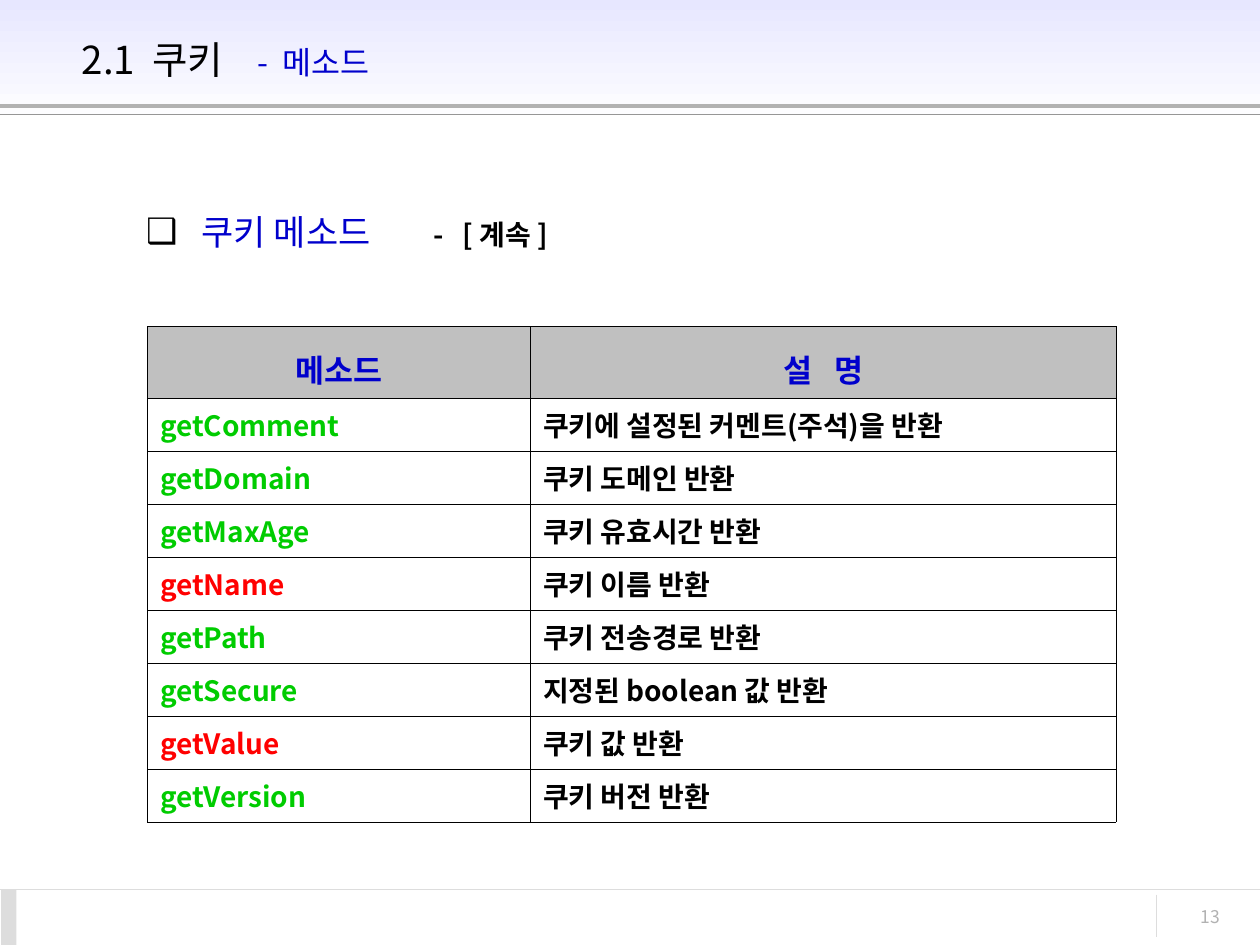
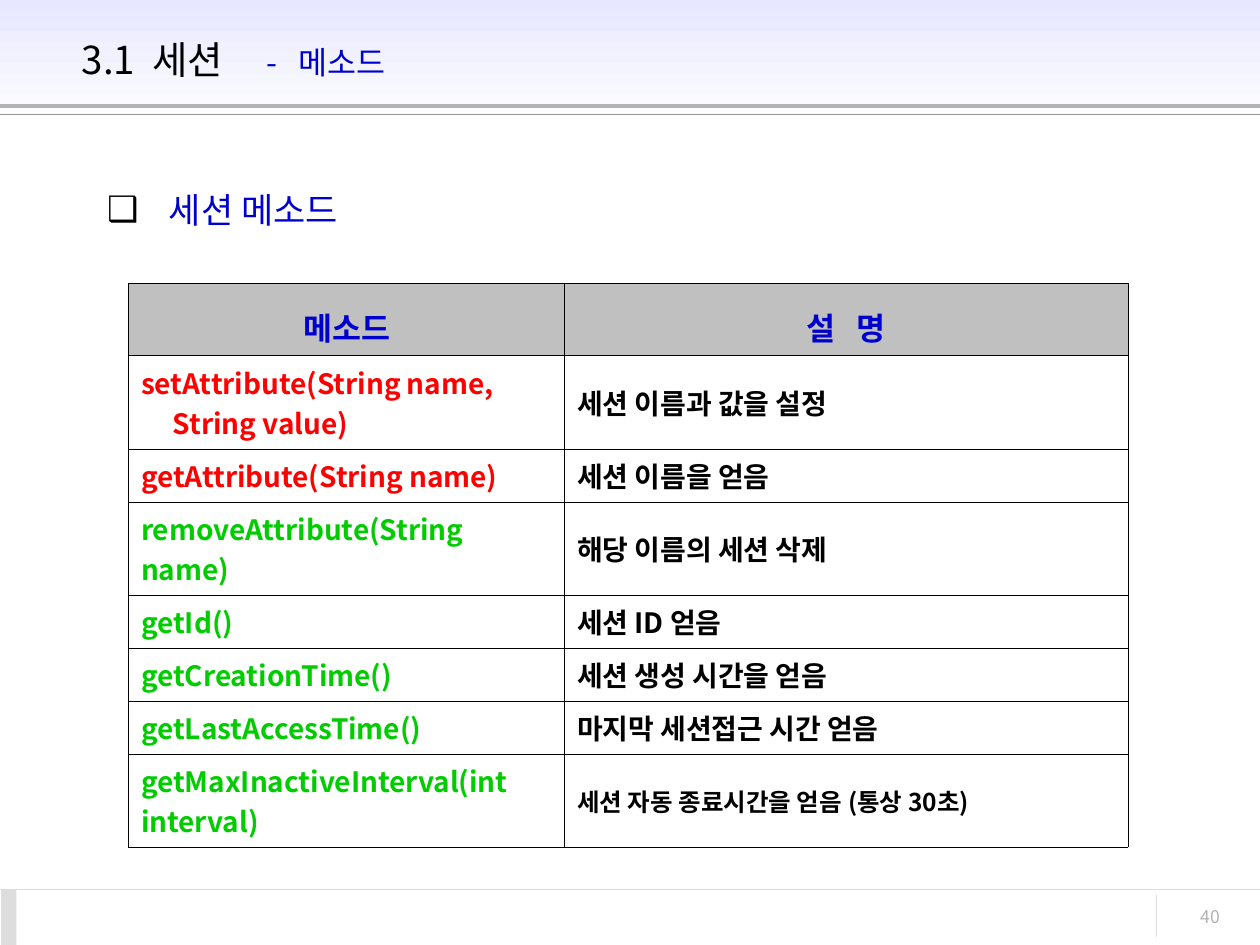
from lxml import etree
from pptx import Presentation
from pptx.dml.color import RGBColor
from pptx.enum.shapes import MSO_CONNECTOR, MSO_SHAPE
from pptx.enum.text import MSO_ANCHOR, MSO_AUTO_SIZE, PP_ALIGN
from pptx.oxml.ns import qn
from pptx.util import Inches, Pt

LEFT, RIGHT, MID, JUST = PP_ALIGN.LEFT, PP_ALIGN.RIGHT, PP_ALIGN.CENTER, PP_ALIGN.JUSTIFY
TOP, CENTRE = MSO_ANCHOR.TOP, MSO_ANCHOR.MIDDLE
RECT, LINE = MSO_SHAPE.RECTANGLE, MSO_CONNECTOR.STRAIGHT
FIXED = MSO_AUTO_SIZE.NONE

FONT = "Noto Sans CJK KR"
BLACK = RGBColor(0x00, 0x00, 0x00)
WHITE = RGBColor(0xFF, 0xFF, 0xFF)
BLUE = RGBColor(0x00, 0x00, 0xCC)
GREEN = RGBColor(0x00, 0xCC, 0x00)
RED = RGBColor(0xFF, 0x00, 0x00)
LILAC = RGBColor(0xE7, 0xE7, 0xFF)
HEAD = RGBColor(0xC0, 0xC0, 0xC0)
SILVER = RGBColor(0xB2, 0xB2, 0xB2)
GREY = RGBColor(0x96, 0x96, 0x96)
PALE = RGBColor(0xDD, 0xDD, 0xDD)
SPACE = 0.224  # width of a space, in ems

# Content: text pieces are (text, size, colour, bold); a number in place of
# the text is a gap that many spaces wide.
HEADS = [
    [("메소드", 18, BLUE, True)],
    [("설", 18, BLUE, True), (3, 18, BLUE, True), ("명", 18, BLUE, True)],
]
# Rows are (method, colour, lines, description, size)
COOKIE = [
    ("getComment", GREEN, 1, "쿠키에 설정된 커멘트(주석)을 반환", 16),
    ("getDomain", GREEN, 1, "쿠키 도메인 반환", 16),
    ("getMaxAge", GREEN, 1, "쿠키 유효시간 반환", 16),
    ("getName", RED, 1, "쿠키 이름 반환", 16),
    ("getPath", GREEN, 1, "쿠키 전송경로 반환", 16),
    ("getSecure", GREEN, 1, "지정된 boolean 값 반환", 16),
    ("getValue", RED, 1, "쿠키 값 반환", 16),
    ("getVersion", GREEN, 1, "쿠키 버전 반환", 16),
]
SESSION = [
    ("setAttribute(String name,\n     String value)", RED, 2, "세션 이름과 값을 설정", 16),
    ("getAttribute(String name)", RED, 1, "세션 이름을 얻음", 16),
    ("removeAttribute(String name)", GREEN, 2, "해당 이름의 세션 삭제", 16),
    ("getId()", GREEN, 1, "세션 ID 얻음", 16),
    ("getCreationTime()", GREEN, 1, "세션 생성 시간을 얻음", 16),
    ("getLastAccessTime()", GREEN, 1, "마지막 세션접근 시간 얻음", 16),
    ("getMaxInactiveInterval(int interval)", GREEN, 2,
     "세션 자동 종료시간을 얻음 (통상 30초)", 14),
]
SLIDES = [
    dict(page="13", title=("2.1", "쿠키", 4, 2),
         topic=[("쿠키 메소드", 20, BLUE, False), (8, 20, BLUE, False),
                ("-", 16, BLACK, True), (3, 16, BLACK, True),
                ("[ 계속 ]", 16, BLACK, True)],
         box=(1.06, 1.62, 5.04, 0.55), indent=0.44, pitch=1.0,
         spot=(1.17, 2.59), cols=(3.04, 4.65), rows=COOKIE),
    dict(page="40", title=("3.1", "세션", 5, 3),
         topic=[("세션 메소드", 20, BLUE, False)],
         box=(0.75, 1.31, 4.65, 0.71), indent=0.49, pitch=1.4,
         spot=(1.02, 2.25), cols=(3.46, 4.47), rows=SESSION),
]
# Rules are (x1, y1, x2, y2, colour, width)
RULES = [
    (0, 0.84, 10, 0.84, SILVER, 2.25),
    (0, 0.91, 10, 0.91, GREY, 0.75),
    (0, 7.06, 10, 7.06, PALE, 0.75),
    (9.18, 7.1, 9.18, 7.44, PALE, 0.75),
]


def inch(vals):
    return [Inches(v) for v in vals]


def put(para, parts, align=LEFT, pitch=1.0):
    """Fill a paragraph run by run; gaps are one widened space."""
    para.alignment, para.line_spacing = align, pitch
    para.space_before = Pt(0)
    for text, size, tint, bold in parts:
        run = para.add_run()
        gap = isinstance(text, int)
        run.text = " " if gap else text
        font = run.font
        font.name, font.size, font.bold = FONT, Pt(size), bold
        font.color.rgb = tint
        props = run._r.get_or_add_rPr()
        etree.SubElement(props, qn("a:ea"), typeface=FONT)
        if gap:
            props.set("spc", str(round((text - 1) * SPACE * size * 100)))


def place(shape, box, anchor):
    shape.left, shape.top, shape.width, shape.height = inch(box)
    frame = shape.text_frame
    frame.word_wrap, frame.auto_size = True, FIXED
    frame.vertical_anchor = anchor
    return frame.paragraphs[0]


def bar(shapes, box):
    shape = shapes.add_shape(RECT, *inch(box))
    shape.shadow.inherit = False
    shape.line.fill.background()
    return shape


def dress(layout, shapes):
    """Draw the band, rules and footer, then hand them to the layout."""
    tree = layout.shapes.element
    for spare in list(layout.placeholders)[2:]:
        tree.remove(spare.element)
    band = bar(shapes, (0, 0, 10, 1))
    band.fill.gradient()
    band.fill.gradient_angle = 270
    for stop, tint in zip(band.fill.gradient_stops, (LILAC, WHITE)):
        stop.color.rgb = tint
    block = bar(shapes, (0.01, 7.06, 0.12, 0.44))
    block.fill.solid()
    block.fill.fore_color.rgb = PALE
    marks = [band, block]
    for *ends, tint, width in RULES:
        rule = shapes.add_connector(LINE, *inch(ends))
        rule.line.color.rgb, rule.line.width = tint, Pt(width)
        etree.SubElement(rule.element.spPr, qn("a:effectLst"))
        marks.append(rule)
    for mark in marks:
        tree.append(mark.element)


def bullet(para, indent):
    props = para._p.get_or_add_pPr()
    props.set("marL", str(Inches(indent)))
    props.set("indent", str(-Inches(indent)))
    tint = etree.SubElement(props, qn("a:buClr"))
    etree.SubElement(tint, qn("a:srgbClr"), val=str(BLACK))
    etree.SubElement(props, qn("a:buChar"), char="❑")


def edge(cell):
    props = cell._tc.get_or_add_tcPr()
    for i, side in enumerate(("lnL", "lnR", "lnT", "lnB")):
        line = etree.Element(qn("a:" + side), w=str(Pt(0.11)))
        fill = etree.SubElement(line, qn("a:solidFill"))
        etree.SubElement(fill, qn("a:srgbClr"), val=str(BLACK))
        props.insert(i, line)


def grid(shapes, spot, cols, rows):
    highs = [0.49] + [0.11 + 0.26 * row[2] for row in rows]
    box = (*spot, sum(cols), sum(highs))
    table = shapes.add_table(len(highs), len(cols), *inch(box)).table
    table.first_row = table.horz_banding = False
    for col, wide in zip(table.columns, cols):
        col.width = Inches(wide)
    for row, high in zip(table.rows, highs):
        row.height = Inches(high)
    for cell in table.iter_cells():
        cell.vertical_anchor = CENTRE
        cell.fill.background()
        edge(cell)
    # Header row
    for c, parts in enumerate(HEADS):
        cell = table.cell(0, c)
        cell.fill.solid()
        cell.fill.fore_color.rgb = HEAD
        put(cell.text_frame.paragraphs[0], parts, MID, 1.3)
    # Method rows
    for r, (name, tint, _, note, size) in enumerate(rows, 1):
        frame = table.cell(r, 0).text_frame
        for i, line in enumerate(name.split("\n")):
            para = frame.add_paragraph() if i else frame.paragraphs[0]
            put(para, [(line, 16, tint, True)], JUST)
        put(table.cell(r, 1).text_frame.paragraphs[0],
            [(note, size, BLACK, True)], JUST)


def main():
    deck = Presentation()
    deck.slide_width, deck.slide_height = inch((10, 7.5))
    layout = deck.slide_layouts[1]
    for i, data in enumerate(SLIDES):
        slide = deck.slides.add_slide(layout)
        shapes = slide.shapes
        if i == 0:
            dress(layout, shapes)
        # Title
        num, name, wide, slim = data["title"]
        put(place(shapes.title, (0.55, 0.13, 8.63, 0.68), CENTRE),
            [(num, 22, BLACK, False), (2, 22, BLACK, False),
             (name, 22, BLACK, False), (wide, 22, BLACK, False),
             ("-", 18, BLUE, False), (slim, 18, BLUE, False),
             ("메소드", 18, BLUE, False)])
        # Topic line
        para = place(slide.placeholders[1], data["box"], TOP)
        bullet(para, data["indent"])
        put(para, data["topic"], pitch=data["pitch"])
        # Method table
        grid(shapes, data["spot"], data["cols"], data["rows"])
        # Page number
        page = shapes.add_textbox(0, 0, 0, 0)
        put(place(page, (8.86, 7.14, 0.92, 0.33), TOP),
            [(data["page"], 10, SILVER, False)], RIGHT)
    deck.save("out.pptx")


if __name__ == "__main__":
    main()
